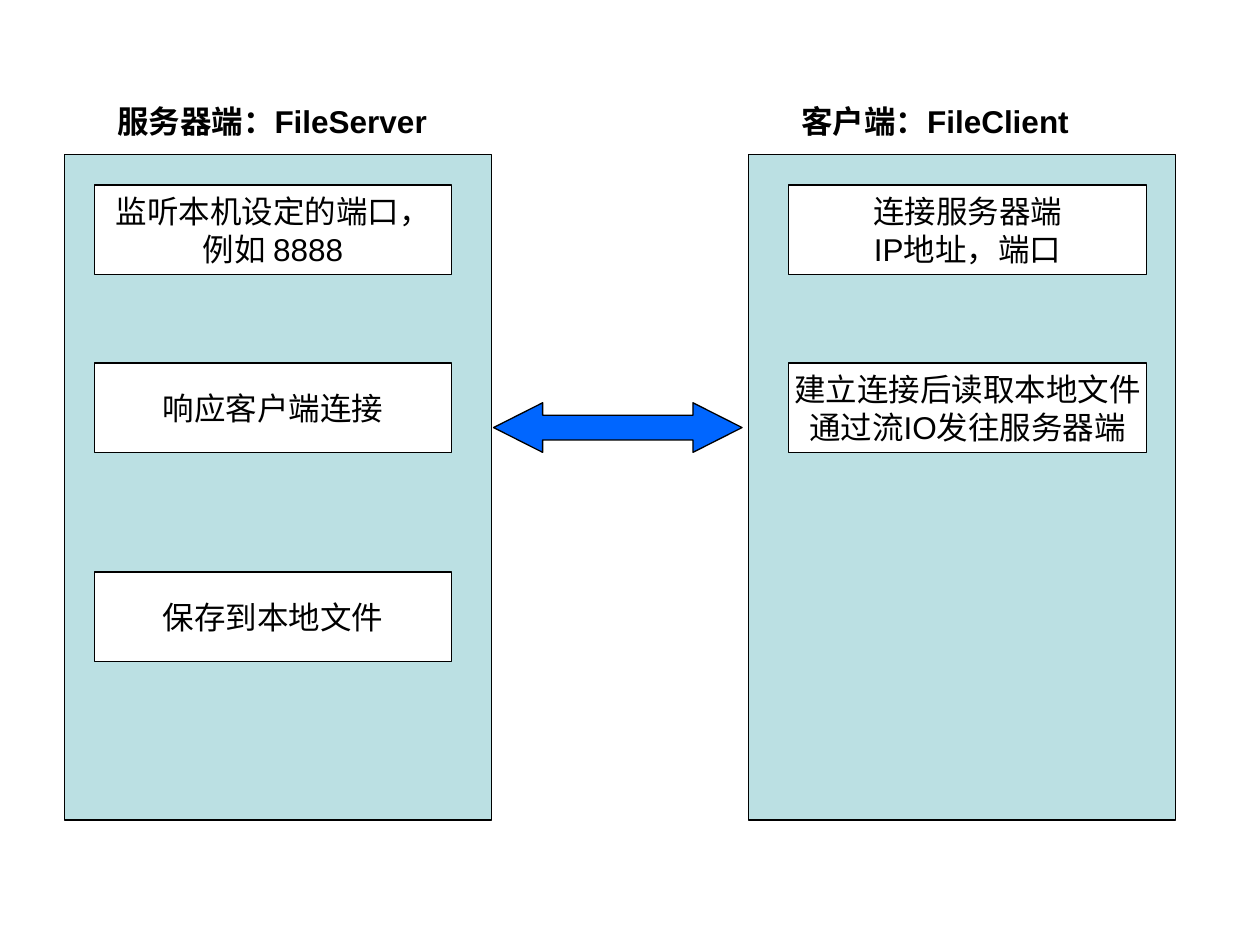
from pptx import Presentation
from pptx.dml.color import RGBColor
from pptx.enum.shapes import MSO_SHAPE
from pptx.enum.text import MSO_ANCHOR, MSO_AUTO_SIZE, PP_ALIGN
from pptx.util import Cm, Pt

BLACK = RGBColor(0x00, 0x00, 0x00)
WHITE = RGBColor(0xFF, 0xFF, 0xFF)
PALE_TEAL = RGBColor(0xBB, 0xE0, 0xE3)
BLUE = RGBColor(0x00, 0x66, 0xFF)

PANEL_TOP, PANEL_WIDTH, PANEL_HEIGHT = 3.12, 8.61, 13.41
STEP_WIDTH, STEP_HEIGHT = 7.21, 1.8
STEP_TOPS = (3.73, 7.32, 11.53)

SIDES = (
    {
        "heading": "服务器端：FileServer",
        "panel_left": 1.3,
        "heading_left": 2.11,
        "step_left": 1.9,
        "steps": ("监听本机设定的端口，\v例如 8888", "响应客户端连接", "保存到本地文件"),
    },
    {
        "heading": "客户端：FileClient",
        "panel_left": 15.09,
        "heading_left": 15.9,
        "step_left": 15.9,
        "steps": ("连接服务器端\nIP地址，端口", "建立连接后读取本地文件\n通过流IO发往服务器端"),
    },
)


def write_text(frame, text, *, size=18, bold=False, align=PP_ALIGN.LEFT,
               anchor=MSO_ANCHOR.TOP, wrap=True):
    """Fill a text frame and format all of its runs."""
    frame.text = text
    frame.word_wrap = wrap
    frame.vertical_anchor = anchor
    for paragraph in frame.paragraphs:
        paragraph.alignment = align
        for run in paragraph.runs:
            run.font.name = "Arial"
            run.font.size = Pt(size)
            run.font.bold = bold
            run.font.color.rgb = BLACK


def add_outlined(slide, kind, left, top, width, height, fill):
    """Add a filled preset shape with a thin black outline."""
    shape = slide.shapes.add_shape(kind, Cm(left), Cm(top), Cm(width), Cm(height))
    shape.shadow.inherit = False
    shape.fill.solid()
    shape.fill.fore_color.rgb = fill
    shape.line.color.rgb = BLACK
    shape.line.width = Pt(0.75)
    return shape


def add_heading(slide, text, left):
    """Add the bold heading above a panel."""
    heading = slide.shapes.add_textbox(Cm(left), Cm(1.93), Cm(STEP_WIDTH), Cm(1.02))
    write_text(heading.text_frame, text, bold=True)
    heading.text_frame.auto_size = MSO_AUTO_SIZE.SHAPE_TO_FIT_TEXT


def add_step(slide, text, left, top):
    """Add a white box that names one step."""
    step = add_outlined(slide, MSO_SHAPE.RECTANGLE, left, top,
                        STEP_WIDTH, STEP_HEIGHT, WHITE)
    write_text(step.text_frame, text, align=PP_ALIGN.CENTER,
               anchor=MSO_ANCHOR.MIDDLE, wrap=False)


def add_side(slide, side):
    """Add one side of the exchange: panel, heading and steps."""
    add_outlined(slide, MSO_SHAPE.RECTANGLE, side["panel_left"], PANEL_TOP,
                 PANEL_WIDTH, PANEL_HEIGHT, PALE_TEAL)
    add_heading(slide, side["heading"], side["heading_left"])
    for text, top in zip(side["steps"], STEP_TOPS):
        add_step(slide, text, side["step_left"], top)


def add_exchange_arrow(slide):
    """Add the two-way arrow between the panels."""
    exchange = add_outlined(slide, MSO_SHAPE.LEFT_RIGHT_ARROW,
                            9.95, 8.12, 5.01, 1, BLUE)
    exchange.adjustments[0] = 0.5
    exchange.adjustments[1] = 0.99


def main():
    """Build the file transfer slide."""
    presentation = Presentation()
    presentation.slide_width = Cm(25.4)
    presentation.slide_height = Cm(19.05)
    slide = presentation.slides.add_slide(presentation.slide_layouts[6])
    for side in SIDES:
        add_side(slide, side)
    add_exchange_arrow(slide)
    presentation.save("out.pptx")


if __name__ == "__main__":
    main()
